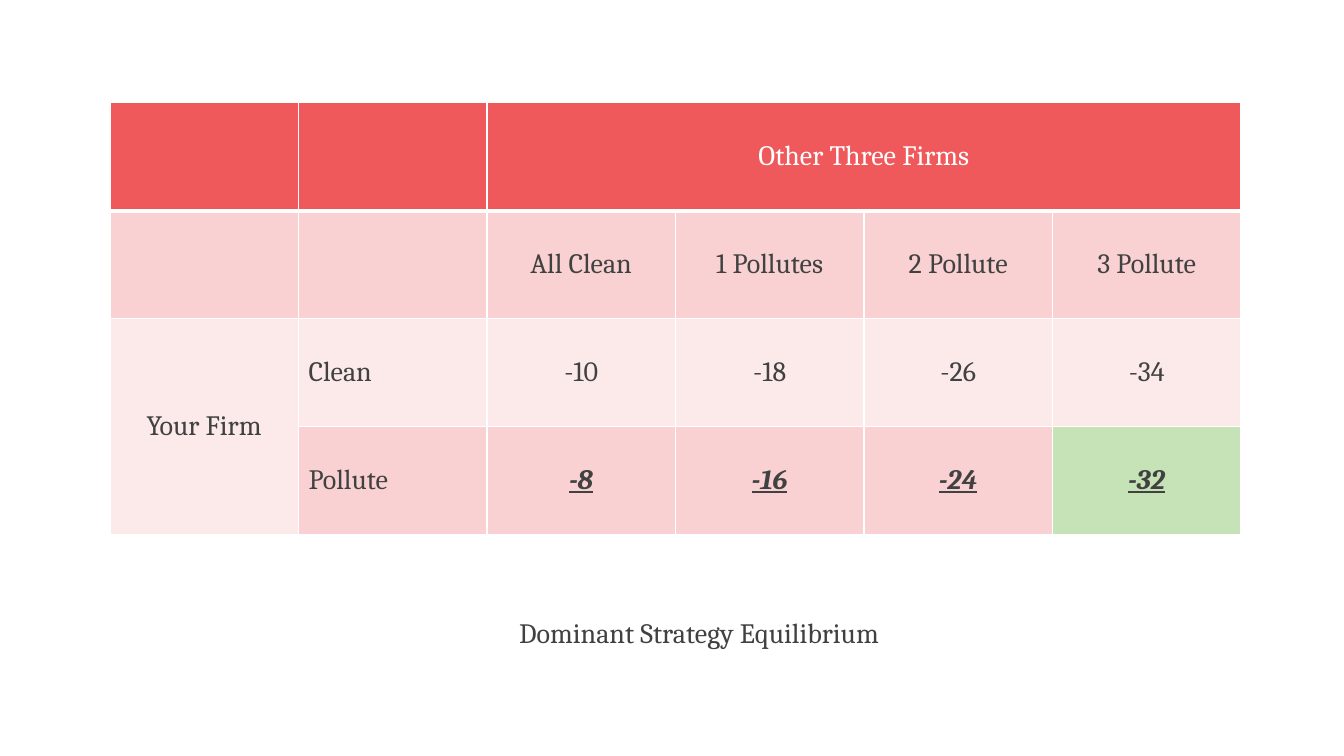
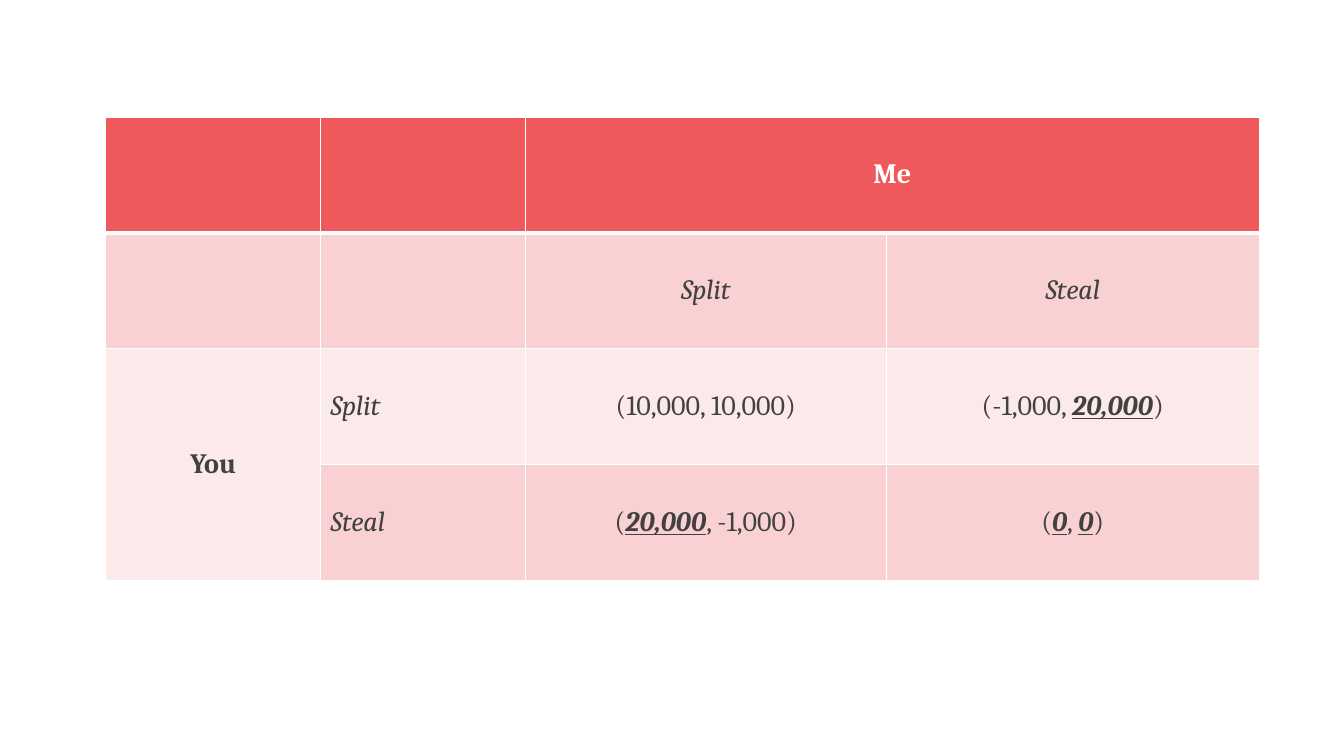
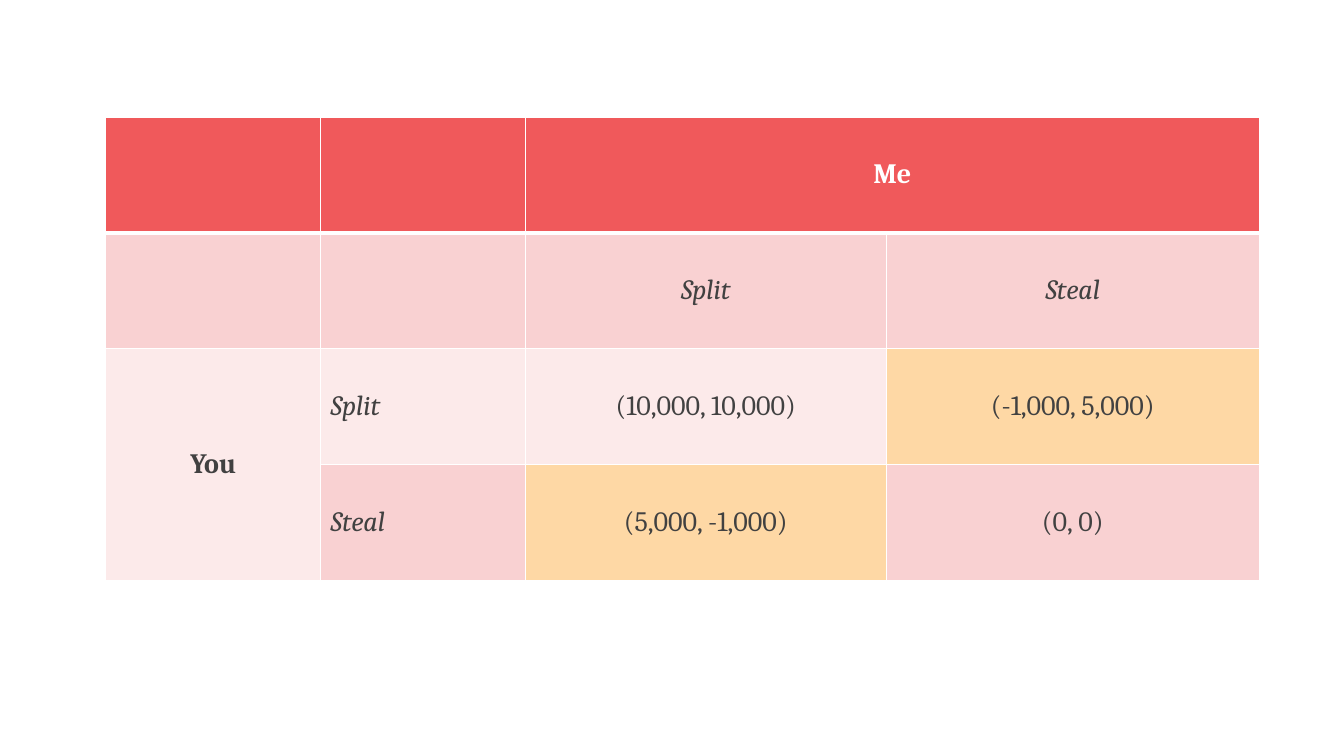
from lxml.etree import SubElement
from pptx import Presentation
from pptx.dml.color import RGBColor
from pptx.enum.text import MSO_ANCHOR as Anchor, PP_ALIGN as Align
from pptx.oxml.ns import qn
from pptx.util import Emu, Pt

FONT, TEXT_SIZE = "Cambria", 20
WHITE, INK = "FFFFFF", "414141"
ROW_FILLS = ["F0595B", "F9D1D2", "FCEAEA", "F9D1D2"]
GREEN, ORANGE = "C6E3B7", "FED8A5"
BEST = "biu"  # bold, italic and underlined: a best response


def px(length):
    """One pixel is a hundredth of an inch."""
    return Emu(length * 9144)


def color(hex_code):
    return RGBColor.from_string(hex_code)


def add_runs(para, runs, hex_code):
    """Each run is (text, style), the style holding any of b, i and u."""
    for text, style in runs:
        span = para.add_run()
        span.text = text
        font = span.font
        font.name, font.size = FONT, Pt(TEXT_SIZE)
        font.color.rgb = color(hex_code)
        font.bold, font.italic = "b" in style, "i" in style
        font.underline = "u" in style


def set_borders(cell, top, bottom):
    """White borders, one point wide at the sides."""
    props = cell._tc.get_or_add_tcPr()
    for side, points in (("L", 1), ("R", 1), ("T", top), ("B", bottom)):
        line = SubElement(props, qn(f"a:ln{side}"), w=str(Pt(points)))
        fill = SubElement(line, qn("a:solidFill"))
        SubElement(fill, qn("a:srgbClr"), val=WHITE)


def add_game(page, left, top, widths, row_height, rows, highlights):
    """Payoff matrix; highlights maps (row, column) to a fill."""
    last_col = len(widths) - 1
    frame = page.shapes.add_table(len(rows), len(widths), px(left), px(top),
                                  px(sum(widths)), px(row_height * len(rows)))
    table = frame.table
    table.first_row = table.horz_banding = False
    for column, width in zip(table.columns, widths):
        column.width = px(width)
    for r, row in enumerate(rows):
        table.rows[r].height = px(row_height)
        for c in range(len(widths)):
            cell = table.cell(r, c)
            set_borders(cell, top=3 if r == 1 else 1, bottom=3 if r == 0 else 1)
            cell.fill.solid()
            cell.fill.fore_color.rgb = color(highlights.get((r, c), ROW_FILLS[r]))
            cell.vertical_anchor = Anchor.MIDDLE
            para = cell.text_frame.paragraphs[0]
            para.alignment = Align.LEFT if c == 1 else Align.CENTER
            if c < len(row):
                add_runs(para, row[c], WHITE if r == 0 else INK)
    table.cell(0, 2).merge(table.cell(0, last_col))
    table.cell(2, 0).merge(table.cell(3, 0))


def add_caption(page, left, top, width, height, text):
    box = page.shapes.add_textbox(px(left), px(top), px(width), px(height))
    box.text_frame.word_wrap = True
    add_runs(box.text_frame.paragraphs[0], [(text, "")], INK)


def styled(texts, style):
    """One single-run cell for each text."""
    return [[(text, style)] for text in texts]


def pollution_page(page):
    rows = [
        [[], [], [("Other Three Firms", "")]],
        [[], []] + styled(["All Clean", "1 Pollutes", "2 Pollute", "3 Pollute"], ""),
        styled(["Your Firm", "Clean", "-10", "-18", "-26", "-34"], ""),
        [[], [("Pollute", "")]] + styled(["-8", "-16", "-24", "-32"], BEST),
    ]
    add_game(page, 109, 102, [187] * 6, 107, rows, {(3, 5): GREEN})
    add_caption(page, 505, 606, 411, 44, "Dominant Strategy Equilibrium")


def split_or_steal_page(page, split_payoffs, steal_payoffs, highlights):
    rows = [
        [[], [], [("Me", "b")]],
        [[], []] + styled(["Split", "Steal"], "i"),
        [[("You", "b")], [("Split", "i")]] + split_payoffs,
        [[], [("Steal", "i")]] + steal_payoffs,
    ]
    add_game(page, 105, 116, [213, 203, 358, 370], 115, rows, highlights)


def main():
    deck = Presentation()
    deck.slide_width, deck.slide_height = px(1333), px(750)
    blank = deck.slide_layouts[6]

    pollution_page(deck.slides.add_slide(blank))
    split_or_steal_page(
        deck.slides.add_slide(blank),
        [[("(10,000, 10,000)", "")],
         [("(-1,000, ", ""), ("20,000", BEST), (")", "")]],
        [[("(", ""), ("20,000", BEST), (", -1,000)", "")],
         [("(", ""), ("0", BEST), (", ", ""), ("0", BEST), (")", "")]],
        {})
    split_or_steal_page(
        deck.slides.add_slide(blank),
        styled(["(10,000, 10,000)", "(-1,000, 5,000)"], ""),
        styled(["(5,000, -1,000)", "(0, 0)"], ""),
        {(2, 3): ORANGE, (3, 2): ORANGE})
    deck.save("out.pptx")


if __name__ == "__main__":
    main()
